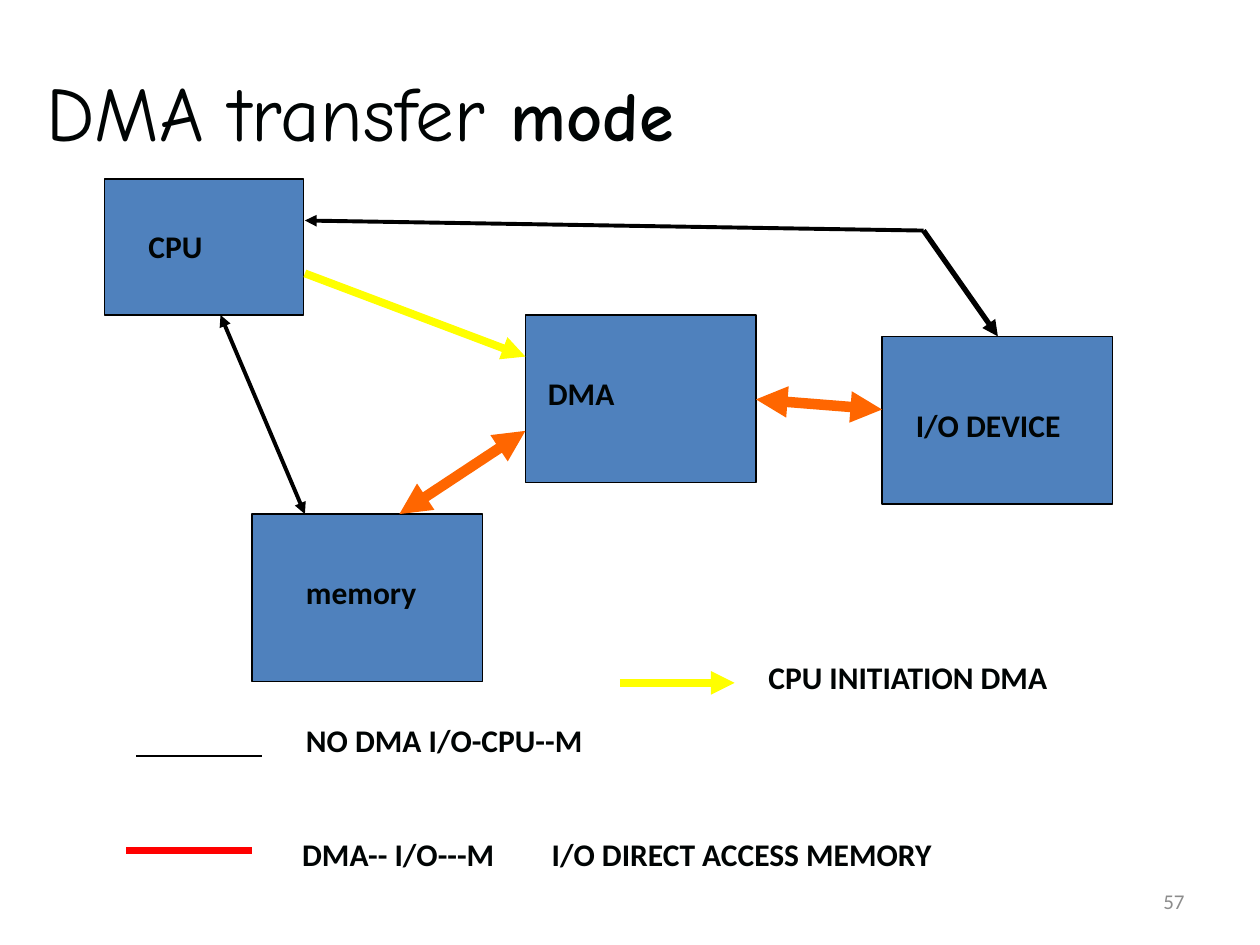
from dataclasses import dataclass
from typing import NamedTuple

from lxml import etree
from pptx import Presentation
from pptx.dml.color import RGBColor
from pptx.enum import shapes, text
from pptx.oxml.ns import qn
from pptx.util import Inches, Pt


@dataclass(frozen=True)
class Theme:
    body_font: str = "Calibri"
    title_font: str = "Comic Neue"
    ink: str = "000404"
    muted: str = "8C8C8C"
    block: str = "4F81BD"
    black: str = "000000"
    orange: str = "FF6600"
    yellow: str = "FFFF00"
    red: str = "FF0000"
    title_size: int = 44
    title_bold_size: int = 40
    label_size: int = 18
    number_size: int = 12
    outline: float = 0.75


THEME = Theme()


class Block(NamedTuple):
    left: float
    top: float
    width: float = 1.83
    height: float = 1.33


class Label(NamedTuple):
    words: str
    left: float
    top: float
    width: float
    tab: float = 0


class Link(NamedTuple):
    start: tuple[float, float]
    end: tuple[float, float]
    color: str
    weight: float
    head: bool = False
    tail: bool = False


BLOCKS = [
    Block(0.83, 1.42, 1.58, 1.08),  # CPU
    Block(2, 4.08),  # memory
    Block(7, 2.67),  # I/O device
    Block(4.17, 2.5),  # DMA
]

LABELS = [
    Label("CPU", 1.08, 1.75, 2.08),
    Label("memory", 2.33, 4.5, 1.42),
    Label("I/O DEVICE", 7.17, 3.17, 1.58),
    Label("DMA", 4.25, 2.92, 1.42),
    Label("CPU INITIATION DMA", 6, 5.17, 3.42),
    Label("NO DMA I/O-CPU--M", 2.33, 5.67, 2.92),
    Label("DMA-- I/O---M\tI/O DIRECT ACCESS MEMORY", 2.3, 6.58, 7.7, tab=1.98),
]

LINKS = [
    Link((6, 3.17), (7, 3.25), THEME.orange, 6, head=True, tail=True),
    Link((3.17, 4.08), (4.17, 3.42), THEME.orange, 6, head=True, tail=True),
    Link((2.42, 1.75), (7.33, 1.83), THEME.black, 2.25, head=True),
    Link((7.33, 1.83), (7.92, 2.67), THEME.black, 3, tail=True),
    Link((1.75, 2.5), (2.42, 4.08), THEME.black, 2.25, head=True, tail=True),
    Link((2.42, 2.17), (4.17, 2.83), THEME.yellow, 4.5, tail=True),
    # Legend
    Link((4.92, 5.42), (5.83, 5.42), THEME.yellow, 4.5, tail=True),
    Link((1.08, 6), (2.08, 6), THEME.black, THEME.outline),
    Link((1, 6.75), (2, 6.75), THEME.red, 4.5),
]


def rgb(color: str) -> RGBColor:
    return RGBColor.from_string(color)


def add_text(page, left: float, top: float, width: float, height: float,
             size: float, color: str = THEME.ink, font: str = THEME.body_font,
             bold: bool = False, anchor=text.MSO_ANCHOR.TOP):
    """Add an empty styled text box and return its paragraph."""
    box = page.shapes.add_textbox(
        Inches(left), Inches(top), Inches(width), Inches(height))
    box.text_frame.word_wrap = True
    box.text_frame.vertical_anchor = anchor
    para = box.text_frame.paragraphs[0]
    para.font.name = font
    para.font.size = Pt(size)
    para.font.bold = bold
    para.font.color.rgb = rgb(color)
    return para


def add_title(page) -> None:
    para = add_text(page, 0.27, 0.44, 9.34, 0.87, THEME.title_size,
                    font=THEME.title_font, anchor=text.MSO_ANCHOR.MIDDLE)
    para.add_run().text = "DMA transfer "
    span = para.add_run()
    span.text = "mode"
    span.font.size = Pt(THEME.title_bold_size)
    span.font.bold = True


def add_page_number(page) -> None:
    para = add_text(page, 7.17, 6.95, 2.33, 0.4, THEME.number_size,
                    THEME.muted, anchor=text.MSO_ANCHOR.MIDDLE)
    para.alignment = text.PP_ALIGN.RIGHT
    para.add_run().text = "57"


def add_block(page, block: Block) -> None:
    box = page.shapes.add_shape(
        shapes.MSO_SHAPE.RECTANGLE, *(Inches(length) for length in block))
    box.shadow.inherit = False
    box.fill.solid()
    box.fill.fore_color.rgb = rgb(THEME.block)
    box.line.color.rgb = rgb(THEME.black)
    box.line.width = Pt(THEME.outline)


def add_label(page, label: Label) -> None:
    para = add_text(page, label.left, label.top, label.width, 0.4,
                    THEME.label_size, bold=True)
    para.add_run().text = label.words
    if label.tab:
        stops = etree.Element(qn("a:tabLst"))
        etree.SubElement(stops, qn("a:tab"),
                         pos=str(Inches(label.tab)), algn="l")
        para._p.get_or_add_pPr().insert(0, stops)


def add_link(page, link: Link) -> None:
    line = page.shapes.add_connector(
        shapes.MSO_CONNECTOR.STRAIGHT,
        *(Inches(length) for length in link.start + link.end))
    line.line.color.rgb = rgb(link.color)
    line.line.width = Pt(link.weight)
    outline = line.line._get_or_add_ln()
    for end, shown in (("a:headEnd", link.head), ("a:tailEnd", link.tail)):
        if shown:
            etree.SubElement(outline, qn(end), type="triangle")
    etree.SubElement(line._element.spPr, qn("a:effectLst"))


def main() -> None:
    deck = Presentation()
    deck.slide_width, deck.slide_height = Inches(10), Inches(7.5)
    page = deck.slides.add_slide(deck.slide_layouts[6])
    add_page_number(page)
    add_title(page)
    for block in BLOCKS:
        add_block(page, block)
    for label in LABELS:
        add_label(page, label)
    for link in LINKS:
        add_link(page, link)
    deck.save("out.pptx")


if __name__ == "__main__":
    main()
